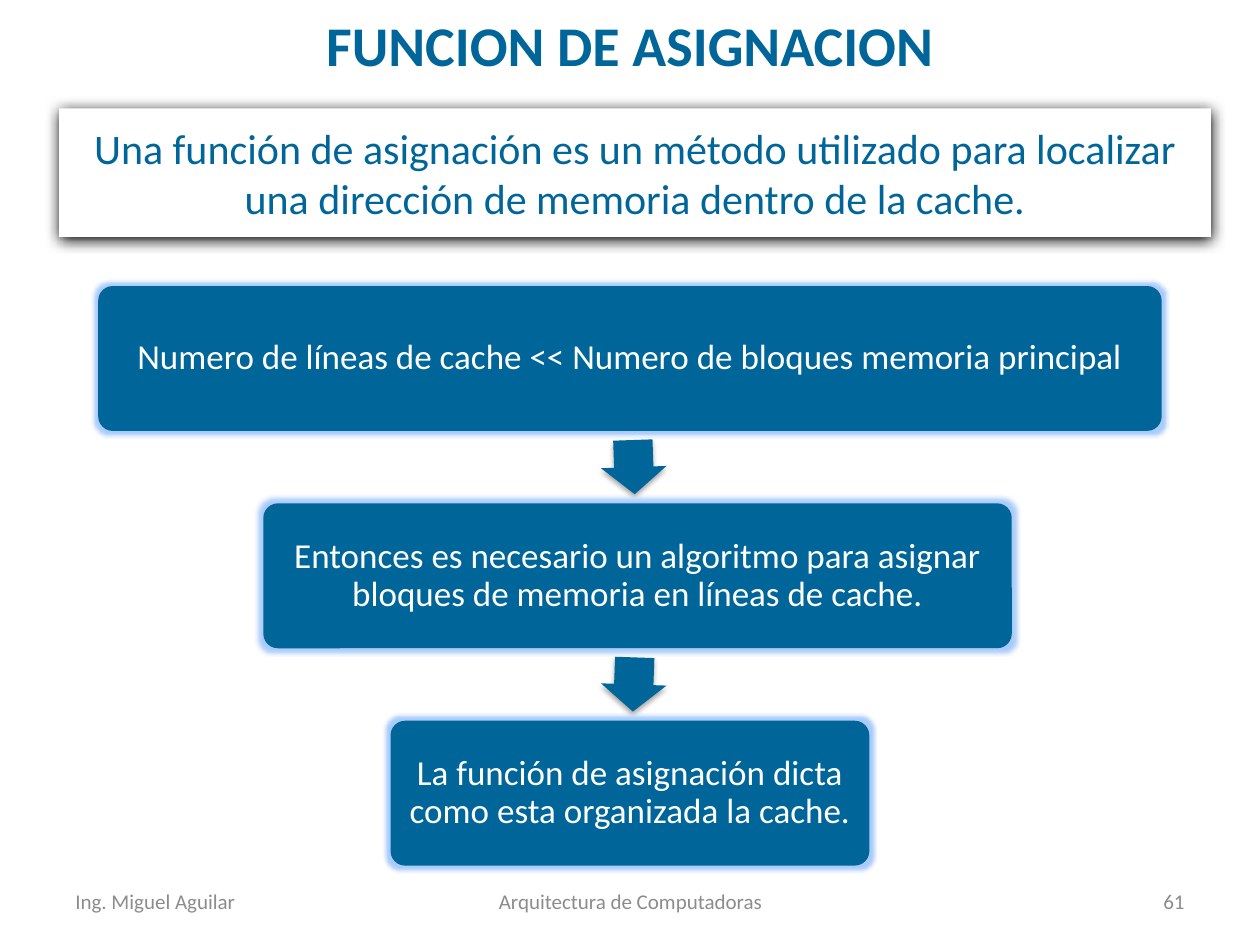
from math import atan2, degrees

from lxml.etree import SubElement
from pptx import Presentation
from pptx.dml.color import RGBColor
from pptx.enum.shapes import MSO_SHAPE
from pptx.enum.text import MSO_ANCHOR, PP_ALIGN
from pptx.oxml.ns import qn
from pptx.util import Inches, Pt

COLORS = {
    "blue": "006699",
    "white": "FFFFFF",
    "gray": "8C8C8C",
    "glow": "A9CBF9",
    "black": "000000",
}
FONT = "Calibri"

STAGES = [  # text, center x, width
    ("Numero de líneas de cache << Numero de bloques memoria principal", 5, 8.44),
    ("Entonces es necesario un algoritmo para asignar bloques de memoria "
     "en líneas de cache.", 5.06, 5.94),
    ("La función de asignación dicta como esta organizada la cache.", 5, 3.8),
]


def set_text(shape, text, size, color, align=PP_ALIGN.CENTER, bold=False):
    frame = shape.text_frame
    frame.word_wrap = True
    frame.vertical_anchor = MSO_ANCHOR.MIDDLE
    paragraph = frame.paragraphs[0]
    paragraph.text = text
    paragraph.alignment = align
    font = paragraph.font
    font.name, font.size, font.bold = FONT, Pt(size), bold
    font.color.rgb = RGBColor.from_string(COLORS[color])
    return paragraph


def add_label(slide, box, text, size, color, align=PP_ALIGN.CENTER, bold=False):
    label = slide.shapes.add_textbox(*map(Inches, box))
    set_text(label, text, size, color, align, bold)


def add_filled_shape(slide, kind, box, color):
    shape = slide.shapes.add_shape(kind, *map(Inches, box))
    shape.fill.solid()
    shape.fill.fore_color.rgb = RGBColor.from_string(COLORS[color])
    shape.line.fill.background()
    shape.shadow.inherit = False
    return shape


def add_effect(shape, tag, color, opacity, **attributes):
    """Add a glow or outer shadow; opacity is in percent."""
    effects = shape._element.spPr.find(qn("a:effectLst"))
    effect = SubElement(effects, qn(tag))
    for name, value in attributes.items():
        effect.set(name, str(int(value)))
    tint = SubElement(effect, qn("a:srgbClr"), val=COLORS[color])
    SubElement(tint, qn("a:alpha"), val=str(opacity * 1000))


def add_shadow(shape, opacity, blur, distance):
    add_effect(shape, "a:outerShdw", "black", opacity, blurRad=Pt(blur),
               dist=Pt(distance), dir=90 * 60000, rotWithShape=0)


def add_definition(slide, box):
    panel = add_filled_shape(slide, MSO_SHAPE.RECTANGLE, box, "white")
    add_shadow(panel, 100, 8.5, 1)
    set_text(panel, "Una función de asignación es un método utilizado para "
             "localizar una dirección de memoria dentro de la cache.", 24, "blue")


def add_stage(slide, box, text):
    stage = add_filled_shape(slide, MSO_SHAPE.ROUNDED_RECTANGLE, box, "blue")
    stage.adjustments[0] = 0.1
    add_effect(stage, "a:glow", "glow", 100, rad=Pt(5))
    frame = stage.text_frame
    frame.margin_left = frame.margin_right = Inches(0.08)
    frame.margin_top = frame.margin_bottom = Inches(0.08)
    set_text(stage, text, 20, "white").line_spacing = 0.9


def add_stage_arrow(slide, center_x, center_y, angle):
    length, thickness = 0.43, 0.52
    box = (center_x - length / 2, center_y - thickness / 2, length, thickness)
    arrow = add_filled_shape(slide, MSO_SHAPE.RIGHT_ARROW, box, "blue")
    arrow.adjustments[0], arrow.adjustments[1] = 0.6, 0.5
    arrow.rotation = angle
    add_shadow(arrow, 35, 3.1, 1.8)


def add_process(slide, top, height):
    """Stack the stages evenly, with an arrow aimed from each to the next."""
    stage_height = 1.15
    pitch = (height - stage_height) / (len(STAGES) - 1)
    for index, (text, center_x, width) in enumerate(STAGES):
        stage_top = top + index * pitch
        add_stage(slide, (center_x - width / 2, stage_top, width, stage_height), text)
        if index + 1 < len(STAGES):
            next_x = STAGES[index + 1][1]
            add_stage_arrow(slide, (center_x + next_x) / 2,
                            stage_top + (stage_height + pitch) / 2,
                            degrees(atan2(pitch, next_x - center_x)))


def add_footer(slide, top, height):
    for left, width, text, align in [
        (0.5, 2.33, "Ing. Miguel Aguilar", PP_ALIGN.LEFT),
        (3.42, 3.17, "Arquitectura de Computadoras", PP_ALIGN.CENTER),
        (7.17, 2.33, "61", PP_ALIGN.RIGHT),
    ]:
        add_label(slide, (left, top, width, height), text, 12, "gray", align)


def main():
    presentation = Presentation()
    presentation.slide_width, presentation.slide_height = Inches(10), Inches(7.5)
    slide = presentation.slides.add_slide(presentation.slide_layouts[6])
    add_label(slide, (0.5, 0, 9, 0.7), "FUNCION DE ASIGNACION", 32, "blue", bold=True)
    add_footer(slide, 6.95, 0.4)
    add_process(slide, 2.27, 4.6)
    add_definition(slide, (0.47, 0.86, 9.14, 1.02))
    presentation.save("out.pptx")


if __name__ == "__main__":
    main()
